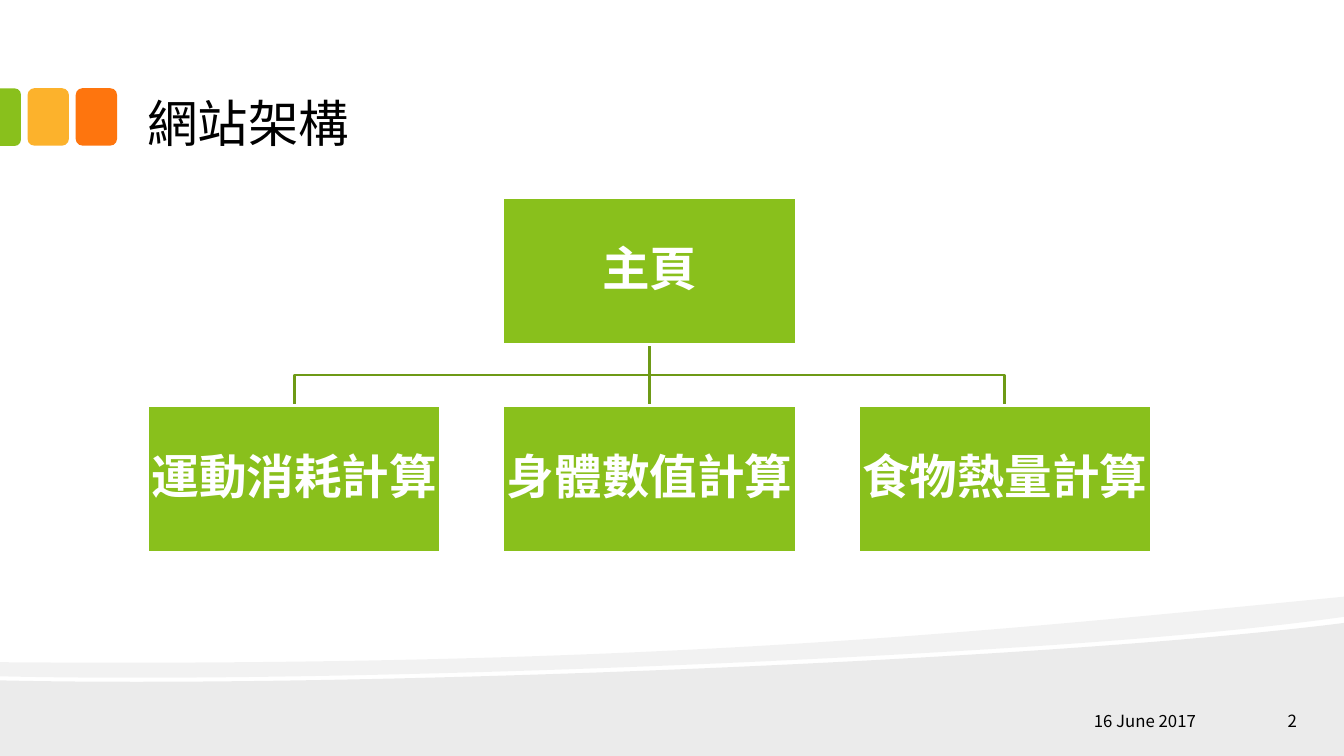
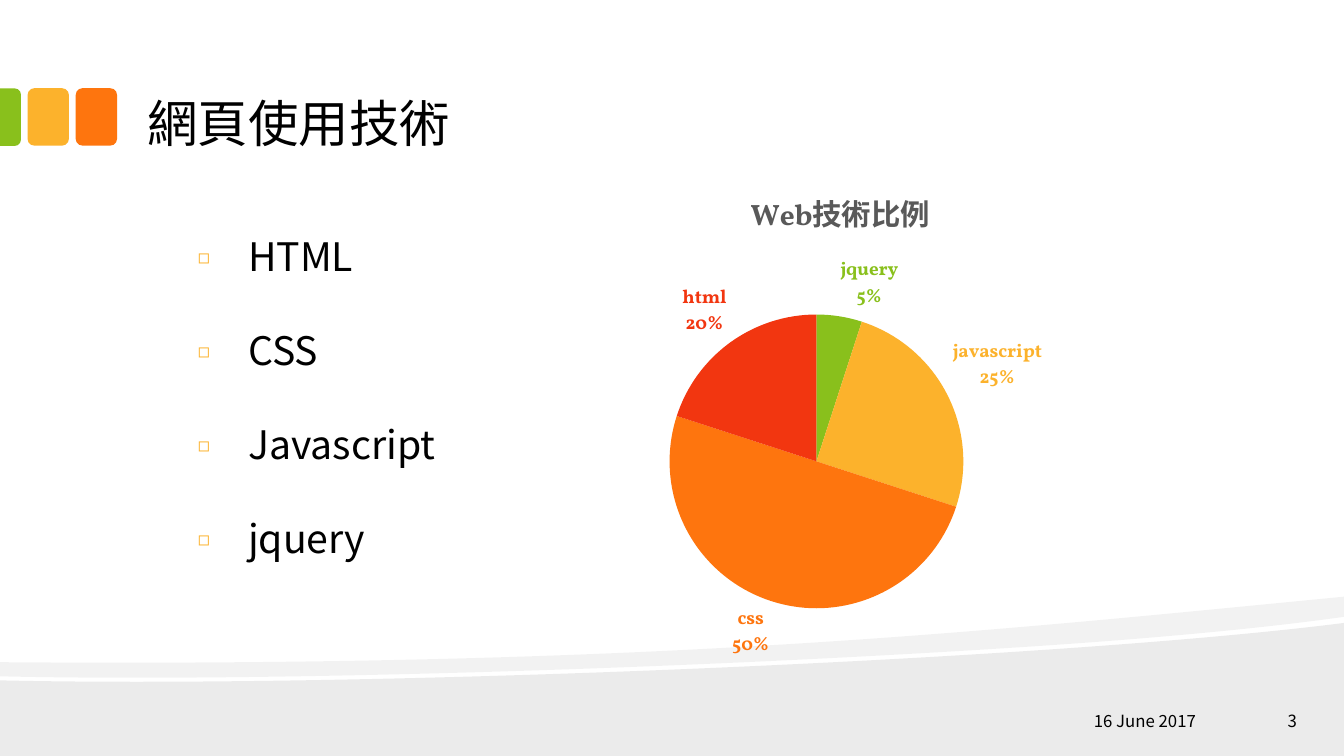
from lxml import etree
from pptx import Presentation
from pptx.chart.data import CategoryChartData
from pptx.dml.color import RGBColor
from pptx.enum.chart import XL_CHART_TYPE, XL_LABEL_POSITION
from pptx.enum.shapes import MSO_CONNECTOR, MSO_SHAPE
from pptx.enum.text import MSO_ANCHOR, PP_ALIGN
from pptx.oxml.ns import qn
from pptx.util import Inches, Pt

PIE, OUTSIDE = XL_CHART_TYPE.PIE, XL_LABEL_POSITION.OUTSIDE_END
STRAIGHT = MSO_CONNECTOR.STRAIGHT
RECT, ROUND = MSO_SHAPE.RECTANGLE, MSO_SHAPE.ROUNDED_RECTANGLE
TAB = MSO_SHAPE.ROUND_2_SAME_RECTANGLE
TOP, MIDDLE, BOTTOM = MSO_ANCHOR.TOP, MSO_ANCHOR.MIDDLE, MSO_ANCHOR.BOTTOM
LEFT, CENTER, RIGHT = PP_ALIGN.LEFT, PP_ALIGN.CENTER, PP_ALIGN.RIGHT

SLIDE_W, SLIDE_H = Inches(13.333), Inches(7.5)
SANS, SERIF = "Noto Sans CJK SC", "Vollkorn"
BLACK, WHITE, GREY = "000000", "FFFFFF", "595959"
GREEN, YELLOW, ORANGE, RED = "89C01C", "FCB22C", "FE750E", "F23610"
DARK_GREEN = "6E9A16"
DATE = "16 June 2017"

LOWER_BAND = [(100, 82.4), (100, 100), (0, 100), (0, 90),
              (26.4, 91.07, 78.15, 87.33, 100, 82.4)]
UPPER_BAND = [(100, 78.93), (100, 81.6),
              (94.15, 83.07, 86.2, 84.4, 77.2, 85.47),
              (52.35, 88.4, 19.35, 90.27, 0, 89.47), (0, 87.6),
              (48.9, 88.27, 72.85, 83.6, 100, 78.93)]


def across(share):
    """Turn a percentage of the slide width into a length."""
    return round(SLIDE_W * share / 100)


def down(share):
    """Turn a percentage of the slide height into a length."""
    return round(SLIDE_H * share / 100)


def area(left, top, width, height):
    """Turn percentages of the slide into a position and size."""
    return across(left), down(top), across(width), down(height)


def color(value):
    """Return the colour for a hex string."""
    return RGBColor.from_string(value)


def add_xml(parent, tag, **attrs):
    """Append an element with attributes."""
    return etree.SubElement(parent, qn(tag), attrs)


def set_font(font, size, value, bold=False, name=SANS):
    """Set the format of a font."""
    for key, setting in {"size": Pt(size), "bold": bold, "name": name}.items():
        setattr(font, key, setting)
    font.color.rgb = color(value)


def set_line(line, value):
    """Give a line its colour and the common width."""
    line.color.rgb = color(value)
    line.width = Pt(2)


def set_fill(shape, value, line=None):
    """Give a shape a plain fill and an optional outline."""
    shape.shadow.inherit = False
    shape.fill.solid()
    shape.fill.fore_color.rgb = color(value)
    if line:
        set_line(shape.line, line)
    else:
        shape.line.fill.background()


def add_run(p, text, size, value, bold=False, name=SANS):
    """Add a run with both Latin and East Asian fonts."""
    r = p.add_run()
    r.text = text
    set_font(r.font, size, value, bold, name)
    add_xml(r._r.get_or_add_rPr(), "a:ea", typeface=SANS)


def set_frame(tf, anchor, side, edge):
    """Set wrapping, anchor and margins of a text frame."""
    values = {"word_wrap": True, "vertical_anchor": anchor,
              "margin_left": Inches(side), "margin_right": Inches(side),
              "margin_top": Inches(edge), "margin_bottom": Inches(edge)}
    for key, value in values.items():
        setattr(tf, key, value)


def add_text(s, place, text, size, anchor=MIDDLE, align=LEFT):
    """Add a one-line text box."""
    tf = s.shapes.add_textbox(*area(*place)).text_frame
    set_frame(tf, anchor, 0.13, 0.07)
    p = tf.paragraphs[0]
    p.alignment = align
    add_run(p, text, size, BLACK)


def add_shape(s, kind, place, value, line=None):
    """Add a filled preset shape."""
    shape = s.shapes.add_shape(kind, *area(*place))
    set_fill(shape, value, line)
    return shape


def add_outline(s, points, close):
    """Add a freeform through points given as slide percentages."""
    points = [(across(x), down(y)) for x, y in points]
    builder = s.shapes.build_freeform(*points[0])
    builder.add_line_segments(points[1:], close=close)
    return builder.convert_to_shape()


def add_link(s, start, end):
    """Join two boxes by a straight line or a stepped one."""
    (x1, y1), (x2, y2) = start, end
    if x1 == x2:
        line = s.shapes.add_connector(STRAIGHT, across(x1), down(y1),
                                      across(x2), down(y2))
        add_xml(line._element.spPr, "a:effectLst")
    else:
        bus = (y1 + y2) / 2
        line = add_outline(s, [start, (x1, bus), (x2, bus), end], False)
        line.shadow.inherit = False
        line.fill.background()
    set_line(line.line, DARK_GREEN)


def add_band(s, outline, opacity):
    """Add a translucent band whose six-number parts are curves."""
    points = [part[i:i + 2] for part in outline for i in range(0, len(part), 2)]
    shape = add_outline(s, points, True)
    set_fill(shape, BLACK)
    steps = iter(list(shape._element.iter(qn("a:lnTo"))))
    for part in outline[1:]:
        first, *rest = [next(steps) for _ in range(len(part) // 2)]
        if rest:
            first.tag = qn("a:cubicBezTo")
        for step in rest:
            first.append(step[0])
            step.getparent().remove(step)
    tint = shape._element.spPr.find(qn("a:solidFill"))[0]
    add_xml(tint, "a:alpha", val=str(opacity * 1000))


def add_slide(prs, title, number):
    """Add a slide with the shared bands, tabs, title and footer."""
    s = prs.slides.add_slide(prs.slide_layouts[6])
    add_band(s, LOWER_BAND, 8)
    add_band(s, UPPER_BAND, 5)
    for i, value in enumerate((YELLOW, ORANGE)):
        add_shape(s, ROUND, (2.05 + 3.58 * i, 11.67, 3.08, 7.6), value)
    tab = add_shape(s, TAB, (-1.37, 14.1, 4.28, 2.8), GREEN)
    tab.rotation = 90
    tab.adjustments[0] = 0.29
    add_text(s, (10, 2.27, 80, 18.9), title, 36, BOTTOM)
    add_text(s, (78.27, 94, 11.7, 2.67), DATE, 12, align=RIGHT)
    add_text(s, (90.8, 94, 6.67, 2.67), str(number), 12, align=RIGHT)
    return s


def add_node(s, left, top, width, height, text):
    """Add a box of the site tree."""
    shape = add_shape(s, RECT, (left, top, width, height), GREEN, WHITE)
    set_frame(shape.text_frame, MIDDLE, 0.02, 0.02)
    p = shape.text_frame.paragraphs[0]
    p.alignment = CENTER
    p.line_spacing = 0.9
    add_run(p, text, 34, WHITE, True)


def add_tree(s, root, children):
    """Add a root box joined to a row of child boxes."""
    left, pitch, width, height = 11, 26.43, 21.8, 19.4
    root_top, row_top = 26.13, 53.67
    lefts = [left + pitch * i for i in range(len(children))]
    root_left = (lefts[0] + lefts[-1]) / 2
    middle = root_left + width / 2
    for x in reversed(lefts):
        add_link(s, (middle, root_top + height), (x + width / 2, row_top))
    add_node(s, root_left, root_top, width, height, root)
    for x, text in zip(lefts, children):
        add_node(s, x, row_top, width, height, text)


def add_bullets(s, place, items):
    """Add a widely spaced list with square bullets."""
    tf = s.shapes.add_textbox(*area(*place)).text_frame
    set_frame(tf, TOP, 0.1, 0)
    for i, text in enumerate(items):
        p = tf.paragraphs[0] if i == 0 else tf.add_paragraph()
        p.space_after = Pt(33.5)
        pPr = p._p.get_or_add_pPr()
        pPr.set("marL", str(Inches(0.5)))
        pPr.set("indent", str(-Inches(0.5)))
        add_xml(add_xml(pPr, "a:buClr"), "a:srgbClr", val=YELLOW)
        add_xml(pPr, "a:buSzPct", val="50000")
        add_xml(pPr, "a:buFont", typeface=SANS)
        add_xml(pPr, "a:buChar", char="◻")
        add_run(p, text, 28, BLACK)


def set_layout(parent, index, inner=False, **shares):
    """Place a chart part by percentages of the chart's size."""
    for old in parent.findall(qn("c:layout")):
        parent.remove(old)
    layout = etree.Element(qn("c:layout"))
    parent.insert(index, layout)
    manual = add_xml(layout, "c:manualLayout")
    if inner:
        add_xml(manual, "c:layoutTarget", val="inner")
    for mode in ("xMode", "yMode"):
        add_xml(manual, "c:" + mode, val="edge")
    for key, share in shares.items():
        add_xml(manual, "c:" + key, val=str(share / 100))


def style_slice(point, value):
    """Colour a slice and its category and percentage label."""
    point.format.fill.solid()
    point.format.fill.fore_color.rgb = color(value)
    label = point.data_label
    set_font(label.font, 13.6, value, True, SERIF)
    label.position = OUTSIDE
    dLbl = label._dLbl
    for key, shown in {"showVal": "0", "showCatName": "1", "showPercent": "1"}.items():
        dLbl.find(qn("c:" + key)).set("val", shown)
    add_xml(dLbl, "c:separator").text = "\n"


def add_pie(s, place, title, slices):
    """Add a pie chart from (name, value, colour) slices."""
    data = CategoryChartData()
    data.categories = [name for name, _, _ in slices]
    data.add_series("Series 1", [value for _, value, _ in slices])
    chart = s.shapes.add_chart(PIE, *area(*place), data).chart
    set_font(chart.font, 10, BLACK, name=SERIF)
    chart.has_legend = False
    add_run(chart.chart_title.text_frame.paragraphs[0], title, 21, GREY, True, SERIF)
    set_layout(chart.chart_title._element, 1, x=34.7, y=2.3)
    plot = chart.plots[0]
    plot.vary_by_categories = True
    set_layout(plot._element.getparent(), 0, True, x=22.7, y=28.4, w=46, h=58.3)
    for i, (_, _, value) in enumerate(slices):
        style_slice(plot.series[0].points[i], value)


def main():
    """Build and save the presentation."""
    prs = Presentation()
    prs.slide_width, prs.slide_height = SLIDE_W, SLIDE_H
    s = add_slide(prs, "網站架構", 2)
    add_tree(s, "主頁", ["運動消耗計算", "身體數值計算", "食物熱量計算"])
    s = add_slide(prs, "網頁使用技術", 3)
    add_pie(s, (38.78, 22.67, 48.08, 66.67), "Web技術比例",
            [("jquery", 5, GREEN), ("javascript", 25, YELLOW),
             ("css", 50, ORANGE), ("html", 20, RED)])
    add_bullets(s, (13.98, 30.7, 34.28, 45), ["HTML", "CSS", "Javascript", "jquery"])
    prs.save("out.pptx")


if __name__ == "__main__":
    main()
